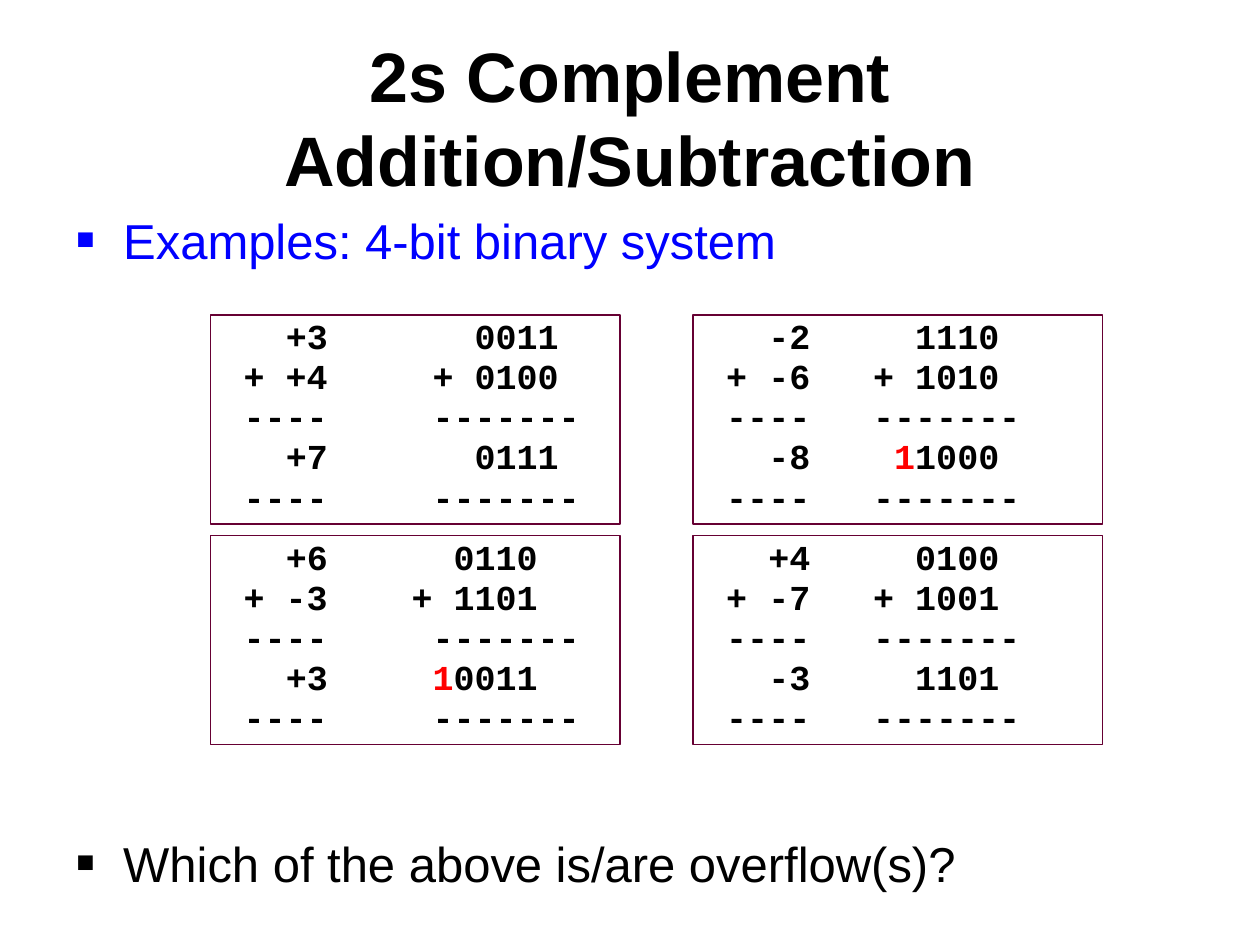
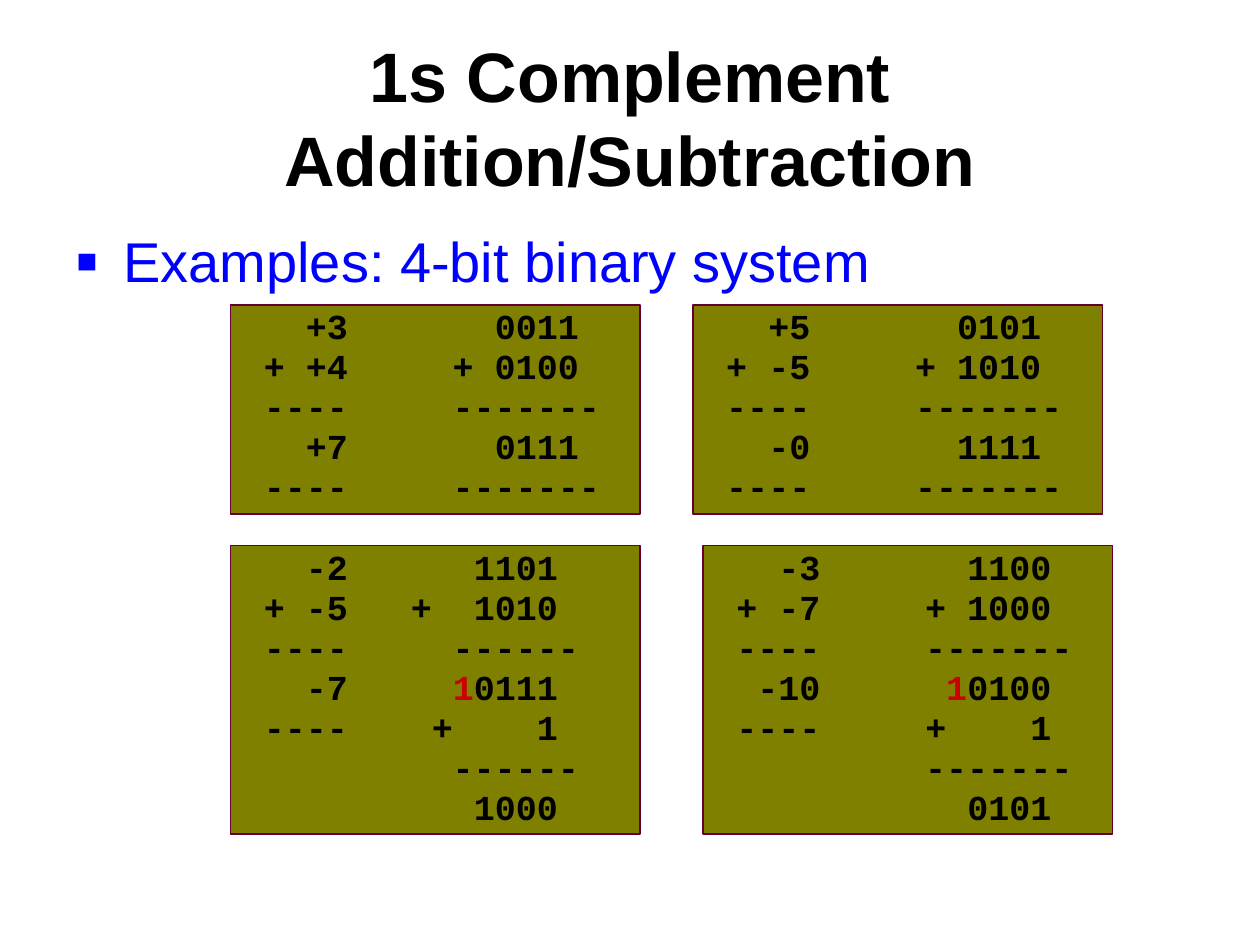
"""Build two slides of worked binary additions in complement notation."""
from lxml import etree
from pptx import Presentation
from pptx.dml.color import RGBColor
from pptx.enum.shapes import MSO_SHAPE
from pptx.enum.text import MSO_ANCHOR, MSO_AUTO_SIZE, PP_ALIGN
from pptx.oxml.ns import qn
from pptx.util import Inches, Pt

RECTANGLE = MSO_SHAPE.RECTANGLE
TOP, MIDDLE = MSO_ANCHOR.TOP, MSO_ANCHOR.MIDDLE
LEFT, CENTER = PP_ALIGN.LEFT, PP_ALIGN.CENTER
FIT_SHAPE = MSO_AUTO_SIZE.SHAPE_TO_FIT_TEXT

COLORS = {
    "paper": "FFFFFF",
    "ink": "000000",
    "topic": "0000FF",
    "border": "660033",
    "olive": "808000",
    "carry": "FF0000",
    "dark_carry": "CC0000",
}
LEFT_EDGE = 5
COLUMN = 1 / 6
BOX_WIDTH = 3.25
INDENT = 0.38


def rgb(name):
    return RGBColor.from_string(COLORS[name])


def add_span(para, text, size=20, font="Arial", color="ink", bold=False):
    span = para.add_run()
    span.text = text
    span.font.size = Pt(size)
    span.font.name = font
    span.font.bold = bold
    span.font.color.rgb = rgb(color)


def add_child(parent, tag, **attributes):
    child = etree.SubElement(parent, qn(tag))
    for key, value in attributes.items():
        child.set(key, str(value))
    return child


def addition(left, right, edge=16, rule_edge=17, rule=7, plus_edge=None, wrapped=None):
    """Return rows that map the column where a cell ends to its text."""
    dashes = "-" * rule
    second = {plus_edge: "+", edge: right[1]} if plus_edge else {edge: "+ " + right[1]}
    rows = [
        {LEFT_EDGE: left[0], edge: right[0]},
        {LEFT_EDGE: "+ " + left[1], **second},
        {LEFT_EDGE: "----", rule_edge: dashes},
        {LEFT_EDGE: left[2], edge: right[2]},
    ]
    if wrapped:
        rows += [
            {LEFT_EDGE: "----", edge - 5: "+", edge: "1"},
            {rule_edge: dashes},
            {edge: wrapped},
        ]
    else:
        rows.append({LEFT_EDGE: "----", rule_edge: dashes})
    return rows


class SlideWriter:
    """Hold the deck style and the slide being written."""

    def __init__(self, deck):
        self.deck = deck
        self.page = None

    def start(self, title):
        self.page = self.deck.slides.add_slide(self.deck.slide_layouts[6])
        self.page.background.fill.solid()
        self.page.background.fill.fore_color.rgb = rgb("paper")
        frame = self.text_frame(0.3, 1.25, MIDDLE)
        para = frame.paragraphs[0]
        para.alignment = CENTER
        add_span(para, title, size=40, bold=True)

    def text_frame(self, top, height, anchor):
        box = self.page.shapes.add_textbox(
            Inches(0.5), Inches(top), Inches(9), Inches(height))
        box.text_frame.word_wrap = True
        box.text_frame.vertical_anchor = anchor
        return box.text_frame

    def bullets(self, items, size, line_spacing):
        frame = self.text_frame(1.75, 4.95, TOP)
        for index, (text, color, space_before) in enumerate(items):
            para = frame.add_paragraph() if index else frame.paragraphs[0]
            para.line_spacing = line_spacing
            para.space_before = Pt(space_before)
            properties = para._p.get_or_add_pPr()
            properties.set("marL", str(Inches(INDENT)))
            properties.set("indent", str(-Inches(INDENT)))
            bullet_color = add_child(properties, "a:buClr")
            add_child(bullet_color, "a:srgbClr", val=COLORS[color])
            add_child(properties, "a:buSzPct", val=120000)
            add_child(properties, "a:buFont", typeface="Arial")
            add_child(properties, "a:buChar", char="▪")
            add_span(para, text, size=size, color=color)

    def sum_box(self, left, top, rows, fill=None, carry="carry"):
        height = 1.66 if len(rows) == 5 else 2.29
        box = self.page.shapes.add_shape(
            RECTANGLE, Inches(left), Inches(top), Inches(BOX_WIDTH), Inches(height))
        box.shadow.inherit = False
        box.line.color.rgb = rgb("border")
        box.line.width = Pt(0.99)
        if fill:
            box.fill.solid()
            box.fill.fore_color.rgb = rgb(fill)
        else:
            box.fill.background()
        frame = box.text_frame
        frame.word_wrap = True
        frame.vertical_anchor = TOP
        frame.auto_size = FIT_SHAPE
        for index, row in enumerate(rows):
            para = frame.add_paragraph() if index else frame.paragraphs[0]
            self.sum_row(para, row, carry)

    def sum_row(self, para, row, carry):
        para.alignment = LEFT
        para.line_spacing = 0.85
        para.space_before = Pt(2.5)
        tabs = add_child(para._p.get_or_add_pPr(), "a:tabLst")
        style = {"font": "Courier New", "bold": True}
        for edge, text in row.items():
            add_child(tabs, "a:tab", pos=Inches(edge * COLUMN), algn="r")
            if len(text) == 5 and text.isdigit():
                add_span(para, "\t", **style)
                add_span(para, text[0], color=carry, **style)
                add_span(para, text[1:], **style)
            else:
                add_span(para, "\t" + text, **style)


def main():
    deck = Presentation()
    deck.slide_width, deck.slide_height = Inches(10), Inches(7.5)
    writer = SlideWriter(deck)
    topic = "Examples: 4-bit binary system"
    three_plus_four = addition(("+3", "+4", "+7"), ("0011", "0100", "0111"))

    writer.start("2s Complement Addition/Subtraction")
    writer.bullets([
        (topic, "topic", 7),
        ("Which of the above is/are overflow(s)?", "ink", 332.5),
    ], size=28, line_spacing=0.7)
    twos_sums = [
        three_plus_four,
        addition(("-2", "-6", "-8"), ("1110", "1010", "11000"), 14, 15),
        addition(("+6", "-3", "+3"), ("0110", "1101", "10011"), 15, 17),
        addition(("+4", "-7", "-3"), ("0100", "1001", "1101"), 14, 15),
    ]
    for index, rows in enumerate(twos_sums):
        writer.sum_box((1.67, 5.5)[index % 2], (2.5, 4.25)[index // 2], rows)

    writer.start("1s Complement Addition/Subtraction")
    writer.bullets([(topic, "topic", 8)], size=32, line_spacing=1.0)
    ones_sums = [
        (1.83, 2.42, three_plus_four),
        (5.5, 2.42, addition(("+5", "-5", "-0"), ("0101", "1010", "1111"))),
        (1.83, 4.33, addition(("-2", "-5", "-7"), ("1101", "1010", "10111"), 15, 16,
                              rule=6, plus_edge=9, wrapped="1000")),
        (5.58, 4.33, addition(("-3", "-7", "-10"), ("1100", "1000", "10100"),
                              wrapped="0101")),
    ]
    for left, top, rows in ones_sums:
        writer.sum_box(left, top, rows, fill="olive", carry="dark_carry")

    deck.save("out.pptx")


main()
